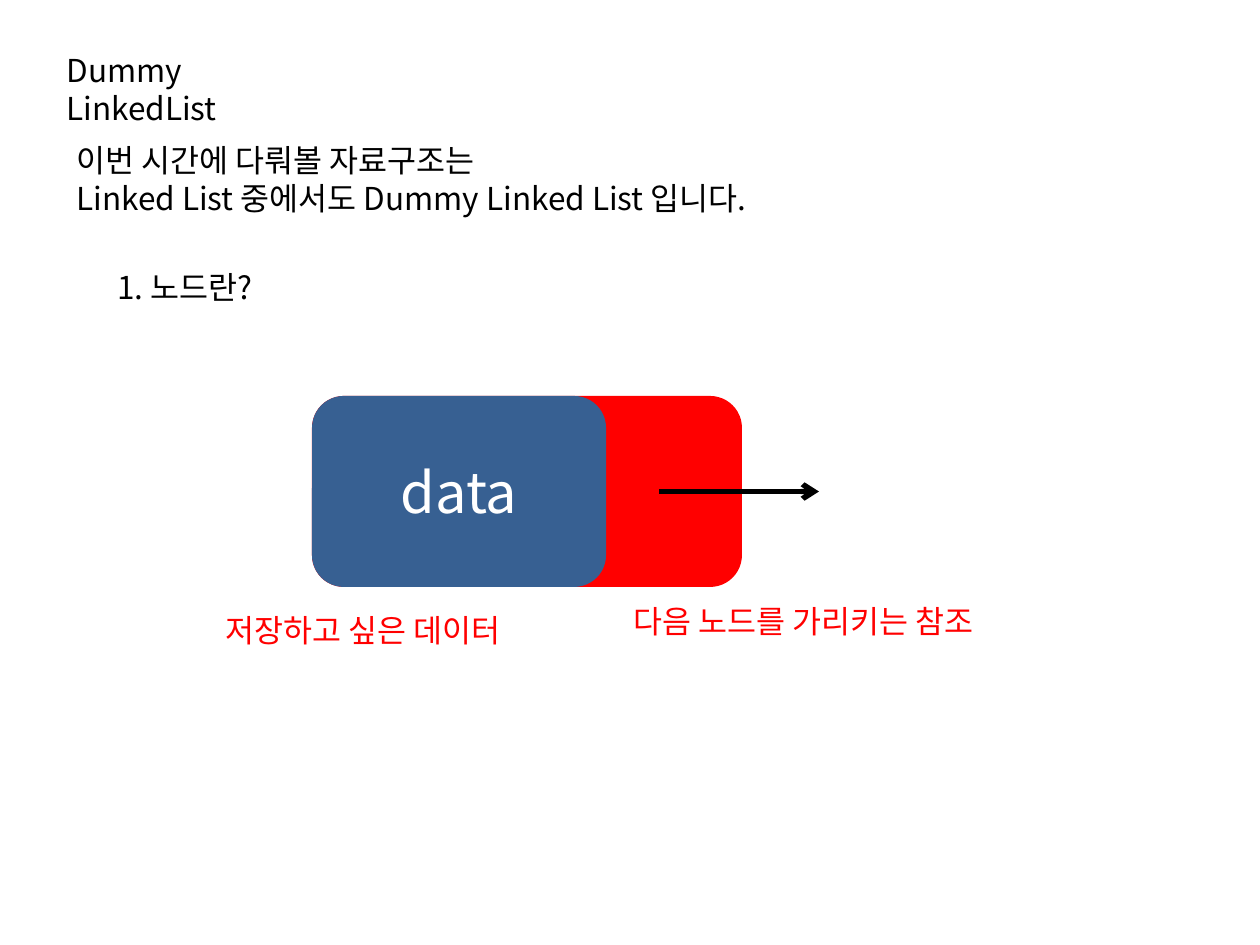
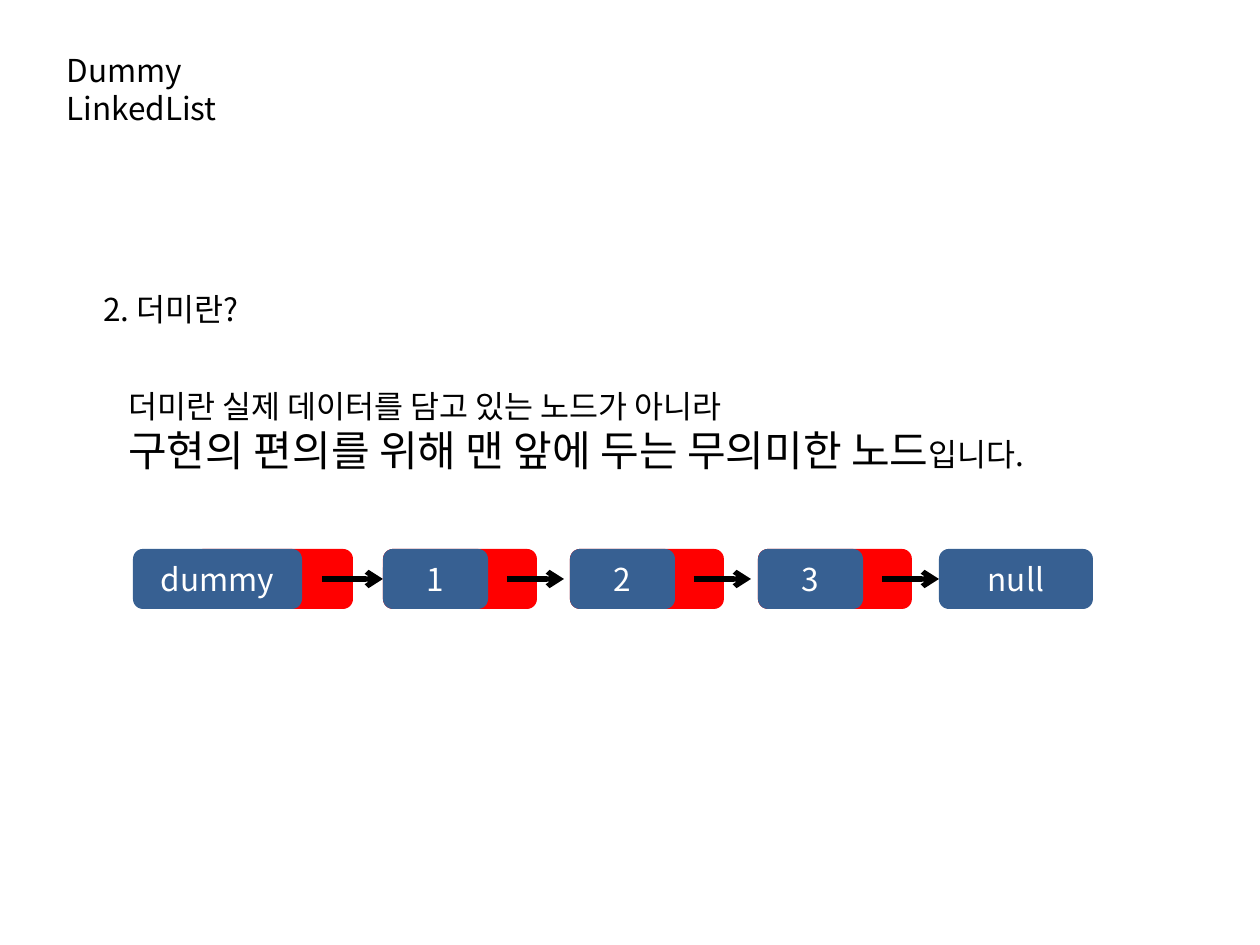
"""Build two slides that introduce the dummy linked list."""
import pptx
import pptx.dml.color
import pptx.enum.shapes
import pptx.enum.text
import pptx.util
from lxml import etree
from pptx.oxml.ns import qn

PX_PER_INCH = 126
FONT = "Noto Sans CJK KR"
BLACK, WHITE, RED, BLUE = "000000", "FFFFFF", "FF0000", "376092"
BODY, EMPHASIS, LARGE = 18, 24, 32
ARROW_START = 0.39

TITLE = (54, 45, 290, 50, BLACK, ["Dummy\vLinkedList"])
NODE_TEXTS = [
    (64, 135, 717, 127, BLACK, ["이번 시간에 다뤄볼 자료구조는",
                                "Linked List 중에서도 Dummy Linked List 입니다."]),
    (105, 262, 171, 50, BLACK, ["1. 노드란?"]),
    (213, 605, 345, 50, RED, ["저장하고 싶은 데이터"]),
    (621, 596, 410, 50, RED, ["다음 노드를 가리키는 참조"]),
]
DUMMY_TEXTS = [
    (91, 284, 171, 50, BLACK, ["2. 더미란?"]),
    (116, 381, 1040, 102, BLACK, [
        "더미란 실제 데이터를 담고 있는 노드가 아니라",
        [("구현의 편의를 위해 맨 앞에 두는 무의미한 노드", EMPHASIS), ("입니다.", BODY)]]),
]
BIG_NODE = dict(label="data", left=312, data_w=294, ref_left=312, ref_w=430)
CHAIN = [dict(label="dummy", left=133, data_w=169, ref_left=193, ref_w=160)] + [
    dict(label=label, left=left, data_w=105, ref_left=left, ref_w=154)
    for label, left in [("1", 383), ("2", 570), ("3", 758)]]
NULL_LEFT, NULL_W = 939, 154
CHAIN_TOP, CHAIN_H, CHAIN_ARROW = 549, 60, 57


def px(*values):
    return [pptx.util.Emu(round(v * 914400 / PX_PER_INCH)) for v in values]


def color(value):
    return pptx.dml.color.RGBColor.from_string(value)


def set_font(p, size, value):
    p.font.size = pptx.util.Pt(size)
    p.font.name = FONT
    p.font.color.rgb = color(value)
    etree.SubElement(p.font._element, qn("a:ea"), typeface=FONT)


def add_text(s, left, top, width, height, value, lines):
    tf = s.shapes.add_textbox(*px(left, top, width, height)).text_frame
    tf.word_wrap = False
    tf.auto_size = pptx.enum.text.MSO_AUTO_SIZE.SHAPE_TO_FIT_TEXT
    for i, line in enumerate(lines):
        p = tf.add_paragraph() if i else tf.paragraphs[0]
        if isinstance(line, str):
            p.text = line
        else:
            for text, size in line:
                r = p.add_run()
                r.text = text
                r.font.size = pptx.util.Pt(size)
        set_font(p, BODY, value)


def add_box(shapes, left, top, width, height, fill, label="", size=BODY):
    sp = shapes.add_shape(pptx.enum.shapes.MSO_SHAPE.ROUNDED_RECTANGLE,
                          *px(left, top, width, height))
    sp.shadow.inherit = False
    sp.fill.solid()
    sp.fill.fore_color.rgb = color(fill)
    sp.line.fill.background()
    if label:
        tf = sp.text_frame
        tf.vertical_anchor = pptx.enum.text.MSO_ANCHOR.MIDDLE
        p = tf.paragraphs[0]
        p.text = label
        p.alignment = pptx.enum.text.PP_ALIGN.CENTER
        set_font(p, size, WHITE)
    return sp


def add_arrow(shapes, start, end, y):
    line = shapes.add_connector(pptx.enum.shapes.MSO_CONNECTOR.STRAIGHT,
                                *px(start, y, end, y))
    line.line.color.rgb = color(BLACK)
    line.line.width = pptx.util.Pt(3)
    etree.SubElement(line.line._get_or_add_ln(), qn("a:tailEnd"), type="arrow")
    etree.SubElement(line._element.spPr, qn("a:effectLst"))
    return line


def add_node(s, node, top, height, arrow, size=BODY):
    shapes = s.shapes.add_group_shape().shapes
    add_box(shapes, node["ref_left"], top, node["ref_w"], height, RED)
    data = add_box(shapes, node["left"], top, node["data_w"], height, BLUE,
                   node["label"], size)
    data_right = node["left"] + node["data_w"]
    ref_right = node["ref_left"] + node["ref_w"]
    start = round(data_right + ARROW_START * (ref_right - data_right))
    return data, add_arrow(shapes, start, start + arrow, top + height / 2)


def add_slide(prs, texts):
    s = prs.slides.add_slide(prs.slide_layouts[6])
    for text in [TITLE] + texts:
        add_text(s, *text)
    return s


def main():
    prs = pptx.Presentation()
    prs.slide_width, prs.slide_height = px(1260, 945)

    s = add_slide(prs, NODE_TEXTS)
    add_node(s, BIG_NODE, 396, 191, 160, LARGE)

    s = add_slide(prs, DUMMY_TEXTS)
    nodes = [add_node(s, node, CHAIN_TOP, CHAIN_H, CHAIN_ARROW) for node in CHAIN]
    null = add_box(s.shapes, NULL_LEFT, CHAIN_TOP, NULL_W, CHAIN_H, BLUE, "null")
    nodes[0][1].end_connect(nodes[1][0], 1)
    nodes[-1][1].end_connect(null, 1)

    prs.save("out.pptx")


if __name__ == "__main__":
    main()
